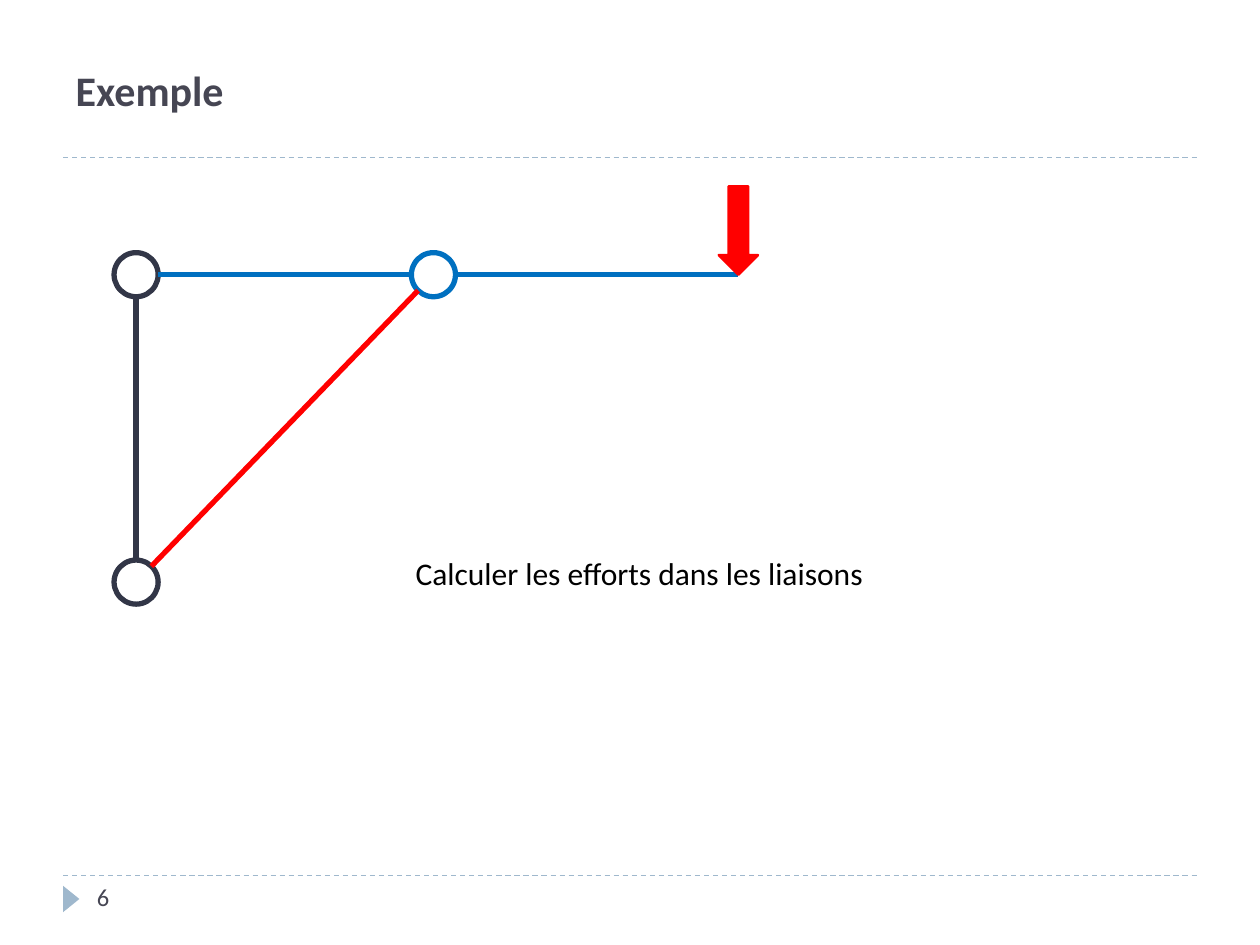
from math import hypot

from pptx import Presentation
from pptx.dml.color import RGBColor
from pptx.enum.dml import MSO_LINE
from pptx.enum.shapes import MSO_CONNECTOR, MSO_SHAPE
from pptx.enum.text import MSO_ANCHOR, PP_ALIGN
from pptx.oxml.ns import qn
from pptx.util import Inches, Pt

RULE, SLATE, INK, BLUE, RED = "9FB8CD", "464653", "323647", "0070C0", "FF0000"
RADIUS = 0.175


def paint(color_format, color):
    color_format.rgb = RGBColor.from_string(color)


def add_line(start, end, color, width):
    line = shapes.add_connector(
        MSO_CONNECTOR.STRAIGHT, *(Inches(v) for v in (*start, *end)))
    paint(line.line.color, color)
    line.line.width = Pt(width)
    line._element.spPr.append(line._element.makeelement(qn("a:effectLst"), {}))
    return line


prs = Presentation()
prs.slide_width, prs.slide_height = Inches(10), Inches(7.5)
slide = prs.slides.add_slide(prs.slide_layouts[5])
shapes = slide.shapes

# Page frame: dashed rules and page marker
for y in (6.95, 1.25):
    add_line((0.5, y), (9.5, y), RULE, 0.75).line.dash_style = MSO_LINE.DASH

marker = shapes.add_shape(MSO_SHAPE.ISOSCELES_TRIANGLE, Inches(0.46),
                          Inches(7.07), Inches(0.21), Inches(0.13))
marker.rotation = 90
marker.shadow.inherit = False
marker.fill.solid()
paint(marker.fill.fore_color, RULE)
marker.line.fill.background()

# Texts
title = shapes.title
title.left, title.top = Inches(0.5), Inches(0.17)
title.width, title.height = Inches(9.07), Inches(1.08)
title.text_frame.vertical_anchor = MSO_ANCHOR.MIDDLE
page_number = shapes.add_textbox(Inches(0.67), Inches(6.95), Inches(2.17), Inches(0.4))
task = shapes.add_textbox(Inches(3.2), Inches(4.35), Inches(5), Inches(0.4))

for box, text, size, color, bold in (
    (title, "Exemple", 24, SLATE, True),
    (page_number, "6", 14, SLATE, False),
    (task, "Calculer les efforts dans les liaisons", 18, "000000", False),
):
    box.text_frame.word_wrap = True
    paragraph = box.text_frame.paragraphs[0]
    paragraph.text = text
    paragraph.alignment = PP_ALIGN.LEFT
    font = paragraph.font
    font.name, font.size, font.bold = "Calibri", Pt(size), bold
    paint(font.color, color)

# Truss: joints by centre, bars trimmed at the joint circles
wall_top, middle, wall_bottom, tip = (1.08, 2.18), (3.44, 2.18), (1.08, 4.62), (5.86, 2.18)

for (x, y), color in ((wall_top, INK), (middle, BLUE), (wall_bottom, INK)):
    joint = shapes.add_shape(MSO_SHAPE.OVAL, Inches(x - RADIUS), Inches(y - RADIUS),
                             Inches(2 * RADIUS), Inches(2 * RADIUS))
    joint.shadow.inherit = False
    joint.fill.background()
    paint(joint.line.color, color)
    joint.line.width = Pt(3)

for start, end, color in (
    (wall_top, wall_bottom, INK),
    (wall_top, middle, BLUE),
    (middle, tip, BLUE),
    (wall_bottom, middle, RED),
):
    dx, dy = end[0] - start[0], end[1] - start[1]
    trim = RADIUS / hypot(dx, dy)
    end_trim = 0 if end == tip else trim
    add_line((start[0] + dx * trim, start[1] + dy * trim),
             (end[0] - dx * end_trim, end[1] - dy * end_trim), color, 3)

# Load pressing on the free end
load_width, load_height = 0.31, 0.7
load = shapes.add_shape(MSO_SHAPE.DOWN_ARROW, Inches(tip[0] - load_width / 2),
                        Inches(tip[1] - load_height),
                        Inches(load_width), Inches(load_height))
load.shadow.inherit = False
load.fill.solid()
paint(load.fill.fore_color, RED)
paint(load.line.color, RED)
load.line.width = Pt(1.5)

prs.save("out.pptx")
